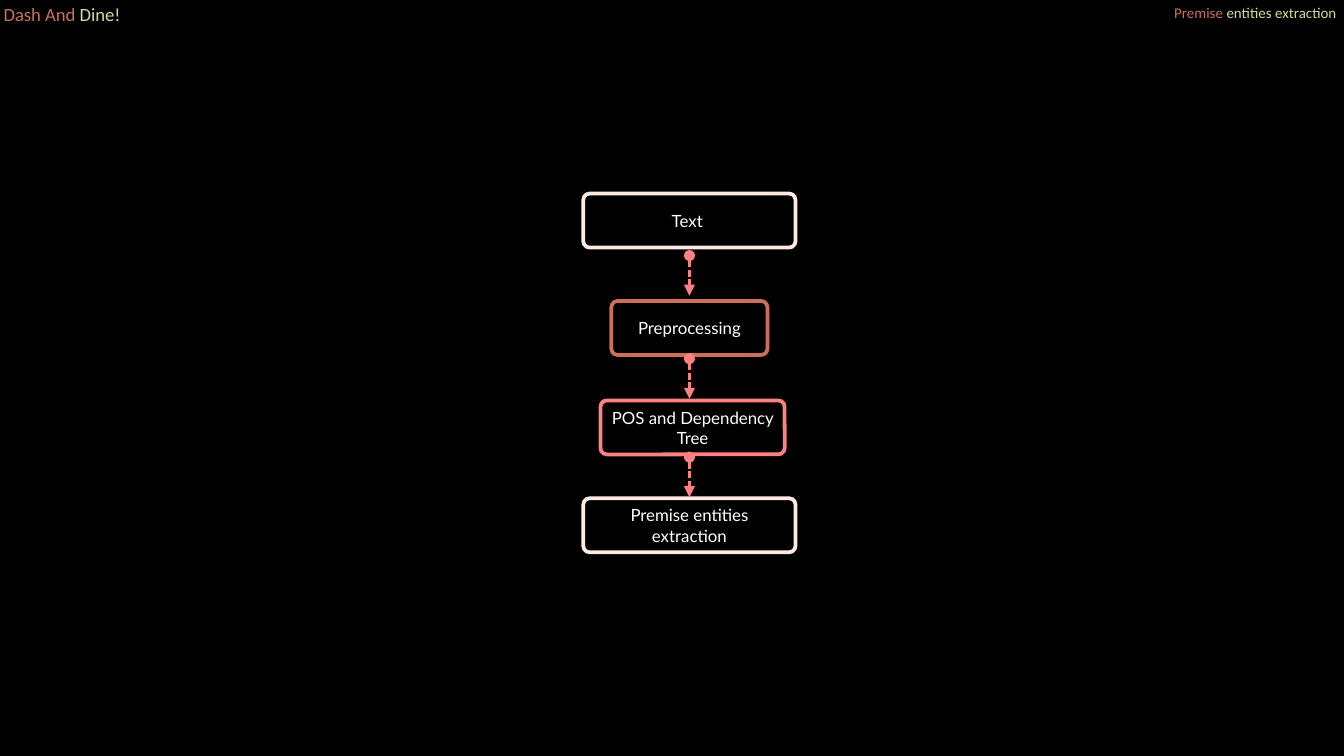
from lxml import etree
from pptx import Presentation
from pptx.dml.color import RGBColor
from pptx.enum import dml, shapes, text
from pptx.oxml import ns
from pptx.util import Cm, Pt

BLACK = RGBColor(0x00, 0x00, 0x00)
WHITE = RGBColor(0xFF, 0xFF, 0xFF)
RUST = RGBColor(0xCF, 0x6E, 0x56)
LIME = RGBColor(0xCC, 0xDF, 0x96)
CREAM = RGBColor(0xFF, 0xEA, 0xE3)
CORAL = RGBColor(0xFF, 0x80, 0x80)

BRAND = [("Dash And ", RUST), ("Dine!", LIME)]
TITLE = [("Premise ", RUST), ("entities extraction", LIME)]

# text, line colour, centre x, top, width (cm)
STEPS = [
    ("Text ", CREAM, 13.03, 3.66, 4.01),
    ("Preprocessing", RUST, 13.03, 5.69, 2.95),
    ("POS and Dependency Tree", CORAL, 13.09, 7.57, 3.48),
    ("Premise entities extraction", CREAM, 13.03, 9.42, 4.01),
]
BOX_H = 1.02
ARROW_X, ARROW_H = 13.03, 0.76
ARROW_TOPS = [4.83, 6.78, 8.64]


def write(shape, runs, font, size, align, anchor, pad_x, pad_y):
    frame = shape.text_frame
    frame.word_wrap = True
    frame.auto_size = text.MSO_AUTO_SIZE.NONE
    frame.vertical_anchor = anchor
    frame.margin_left = frame.margin_right = Cm(pad_x)
    frame.margin_top = frame.margin_bottom = Cm(pad_y)
    para = frame.paragraphs[0]
    para.alignment = align
    for words, color in runs:
        run = para.add_run()
        run.text = words
        run.font.name = font
        run.font.size = Pt(size)
        run.font.color.rgb = color


def label(shape, runs, size, align):
    write(shape, runs, "Calibri", size, align, text.MSO_ANCHOR.TOP, 0.25, 0.25)


def add_step(slide, words, color, mid, top, width):
    box = slide.shapes.add_shape(
        shapes.MSO_SHAPE.ROUNDED_RECTANGLE,
        Cm(mid - width / 2), Cm(top), Cm(width), Cm(BOX_H))
    box.adjustments[0] = 0.115
    box.shadow.inherit = False
    box.fill.background()
    box.line.color.rgb = color
    box.line.width = Pt(2)
    write(box, [(words, WHITE)], "Lato", 9, text.PP_ALIGN.CENTER,
          text.MSO_ANCHOR.MIDDLE, 0.15, 0.08)


def add_arrow(slide, top):
    arrow = slide.shapes.add_connector(
        shapes.MSO_CONNECTOR.STRAIGHT,
        Cm(ARROW_X), Cm(top), Cm(ARROW_X), Cm(top + ARROW_H))
    arrow.line.color.rgb = CORAL
    arrow.line.width = Pt(1.25)
    arrow.line.dash_style = dml.MSO_LINE.SQUARE_DOT
    props = arrow.line._get_or_add_ln()
    for tag, kind in (("a:headEnd", "oval"), ("a:tailEnd", "triangle")):
        etree.SubElement(props, ns.qn(tag), type=kind)
    etree.SubElement(arrow._element.spPr, ns.qn("a:effectLst"))


def main():
    deck = Presentation()
    deck.slide_width, deck.slide_height = Cm(25.4), Cm(14.29)
    slide = deck.slides.add_slide(deck.slide_layouts[5])
    slide.background.fill.solid()
    slide.background.fill.fore_color.rgb = BLACK

    title = slide.shapes.title
    title.left, title.top = Cm(21.87), Cm(-0.18)
    title.width, title.height = Cm(3.71), Cm(0.58)
    label(title, TITLE, 8, text.PP_ALIGN.CENTER)

    brand = slide.shapes.add_textbox(Cm(-0.18), Cm(-0.2), Cm(3.63), Cm(0.69))
    label(brand, BRAND, 10, text.PP_ALIGN.LEFT)

    for step in STEPS:
        add_step(slide, *step)
    for top in ARROW_TOPS:
        add_arrow(slide, top)
    deck.save("out.pptx")


if __name__ == "__main__":
    main()
